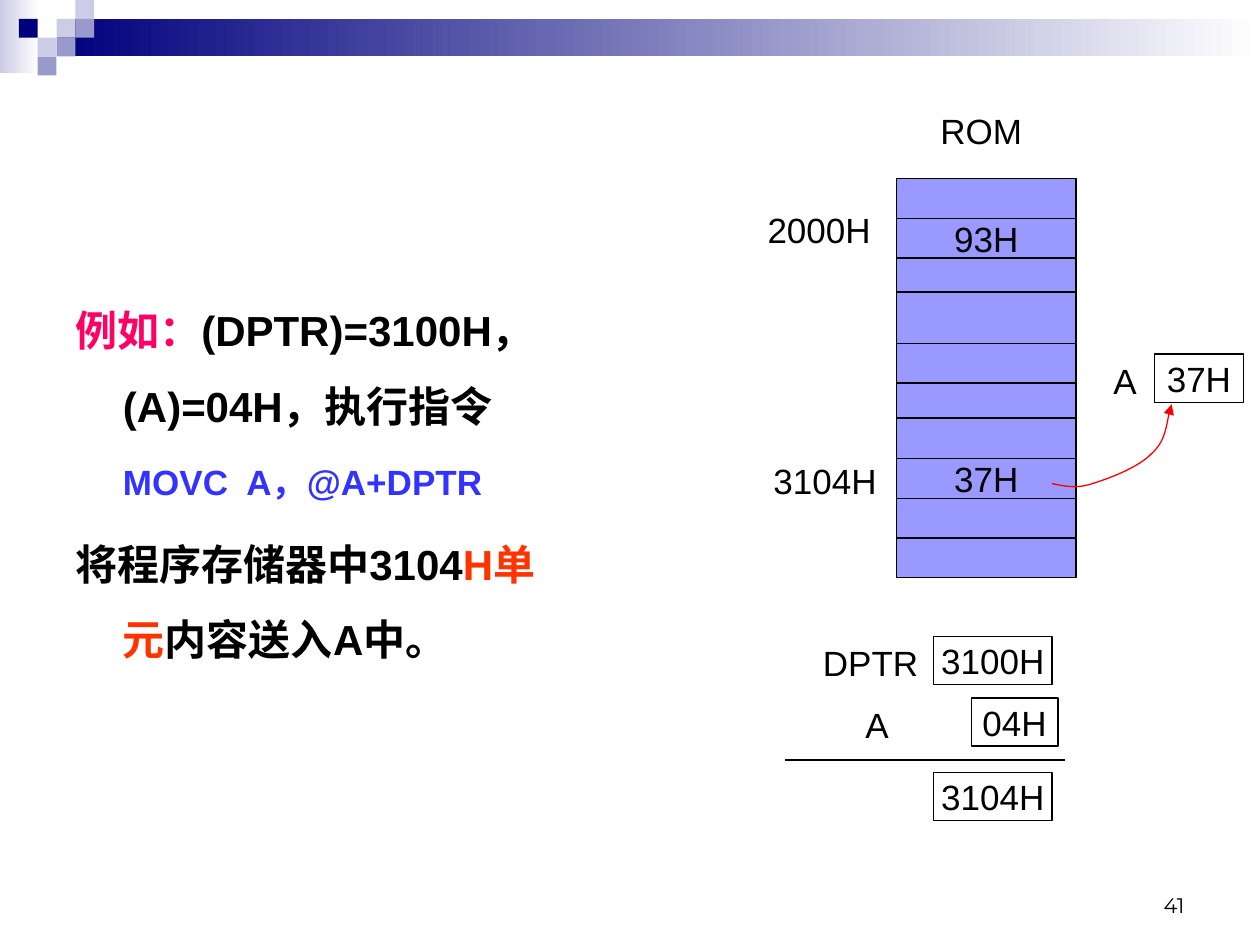
import itertools

import pptx
import pptx.util
import pptx.dml.color
import pptx.enum.shapes
import pptx.enum.text
import pptx.oxml
import pptx.oxml.ns

Cm = pptx.util.Cm
Pt = pptx.util.Pt
qn = pptx.oxml.ns.qn
ALIGN = pptx.enum.text.PP_ALIGN
ANCHOR = pptx.enum.text.MSO_ANCHOR


def color(hex_text):
    return pptx.dml.color.RGBColor.from_string(hex_text)


def add_box(left, top, width, height, text="", fill=None, line=None):
    """Add a rectangle, sized in centimetres, with optional centred 20 pt text."""
    box = slide.shapes.add_shape(
        pptx.enum.shapes.MSO_SHAPE.RECTANGLE, Cm(left), Cm(top), Cm(width), Cm(height))
    box.shadow.inherit = False
    if fill:
        box.fill.solid()
        box.fill.fore_color.rgb = color(fill)
    else:
        box.fill.background()
    if line:
        box.line.color.rgb = color(line)
        box.line.width = Pt(0.75)
    else:
        box.line.fill.background()
    if text:
        frame = box.text_frame
        frame.word_wrap = False
        frame.vertical_anchor = ANCHOR.MIDDLE
        para = frame.paragraphs[0]
        para.text = text
        para.alignment = ALIGN.CENTER
        para.font.name = "Arial"
        para.font.size = Pt(20)
        para.font.color.rgb = color("000000")
    return box


deck = pptx.Presentation()
deck.slide_width = Cm(25.4)
deck.slide_height = Cm(19.05)
slide = deck.slides.add_slide(deck.slide_layouts[6])

# Header: two gradient bars and a mosaic of small squares
for left, top, width, height, start in [
        (0, 0, 0.79, 1.47, "CCCCE6"), (1.14, 0.38, 24.26, 0.76, "00007D")]:
    bar = add_box(left, top, width, height)
    bar.fill.gradient()
    bar.fill.gradient_angle = 0
    for stop, shade in zip(bar.fill.gradient_stops, (start, "FFFFFF")):
        stop.color.rgb = color(shade)

SQUARE = 0.38
for column, row, shade in [
        (3, 1, "CCCCE6"), (4, 0, "CCCCE6"), (4, 1, "9999CC"), (2, 2, "CCCCE6"),
        (1, 1, "00007D"), (3, 2, "9999CC"), (2, 3, "9999CC")]:
    add_box(column * SQUARE, row * SQUARE, SQUARE, SQUARE, fill=shade)

# Example text
body = slide.shapes.add_textbox(Cm(1.27), Cm(5.51), Cm(10.31), Cm(10.8)).text_frame
body.word_wrap = True
example = [
    (24, 0, -0.96, [("例如：", "FF0066"), ("(DPTR)=3100H，(A)=04H，执行指令", "000000")]),
    (20, 5, 0, [("MOVC  A，@A+DPTR", "3333FF")]),
    (24, 6, -0.96, [("将程序存储器中3104", "000000"), ("H单元", "FF3300"),
                    ("内容送入A中。", "000000")]),
]
for number, (size, space, indent, spans) in enumerate(example):
    para = body.add_paragraph() if number else body.paragraphs[0]
    properties = para._p.get_or_add_pPr()
    properties.set("marL", str(Cm(0.96)))
    properties.set("indent", str(Cm(indent)))
    para.line_spacing = 1.5
    para.space_before = Pt(space)
    para.font.name = "Arial"
    para.font.size = Pt(size)
    para.font.bold = True
    for text, shade in spans:
        span = para.add_run()
        span.text = text
        span.font.color.rgb = color(shade)

# ROM column
cell_edges = [3.6, 4.4, 5.2, 5.89, 6.92, 7.72, 8.43, 9.25, 10.05, 10.85, 11.64]
cell_texts = {1: "93H", 7: "37H"}
for index, (top, bottom) in enumerate(itertools.pairwise(cell_edges)):
    add_box(18.08, top, 3.61, bottom - top, cell_texts.get(index, ""), "9999FF", "000000")

# Labels
for left, top, width, height, text in [
        (18.08, 2.03, 3.4, 1.2, "ROM"), (15.32, 4.14, 2.39, 0.97, "2000H"),
        (15.44, 9.2, 2.39, 0.97, "3104H"), (22.02, 7.26, 1.32, 0.82, "A"),
        (16.46, 12.95, 2.18, 0.82, "DPTR"), (16.59, 14.2, 2.18, 0.82, "A")]:
    add_box(left, top, width, height, text)

# Registers and the address sum
for left, top, width, text in [
        (23.27, 7.14, 1.8, "37H"), (18.82, 12.83, 2.39, "3100H"),
        (19.58, 14.07, 1.75, "04H"), (18.82, 15.57, 2.39, "3104H")]:
    add_box(left, top, width, 0.97, text, line="000000")

sum_line = slide.shapes.add_connector(
    pptx.enum.shapes.MSO_CONNECTOR.STRAIGHT, Cm(15.82), Cm(15.32), Cm(21.46), Cm(15.32))
sum_line.line.color.rgb = color("000000")
sum_line.line.width = Pt(1)
sum_line._element.spPr.append(pptx.oxml.parse_xml(
    '<a:effectLst xmlns:a="http://schemas.openxmlformats.org/drawingml/2006/main"/>'))

# Curved arrow from the ROM cell to register A, as three Bezier segments
curve_points = [
    (21.21, 9.75), (21.46, 9.8), (21.69, 9.86), (22.02, 9.75), (22.35, 9.65),
    (22.96, 9.42), (23.22, 9.14), (23.5, 8.89), (23.55, 8.31), (23.62, 8.15)]
start, *rest = [(Cm(x), Cm(y)) for x, y in curve_points]
builder = slide.shapes.build_freeform(*start)
builder.add_line_segments(rest, close=False)
arrow = builder.convert_to_shape()
arrow.shadow.inherit = False
arrow.fill.background()
arrow.line.color.rgb = color("FF0000")
arrow.line.width = Pt(0.75)
segments = list(arrow._element.iter(qn("a:lnTo")))
for first in range(0, len(segments), 3):
    curve = segments[first].makeelement(qn("a:cubicBezTo"))
    segments[first].addprevious(curve)
    for segment in segments[first:first + 3]:
        curve.append(segment[0])
        segment.getparent().remove(segment)
outline = arrow.line._get_or_add_ln()
outline.append(outline.makeelement(qn("a:tailEnd"), {"type": "triangle"}))

# Slide number
number_frame = slide.shapes.add_textbox(Cm(18.21), Cm(17.35), Cm(5.92), Cm(1.27)).text_frame
number_frame.word_wrap = True
number_frame.vertical_anchor = ANCHOR.BOTTOM
para = number_frame.paragraphs[0]
para.text = "41"
para.alignment = ALIGN.RIGHT
para.font.name = "Montserrat"
para.font.size = Pt(12)
para.font.color.rgb = color("000000")

deck.save("out.pptx")
